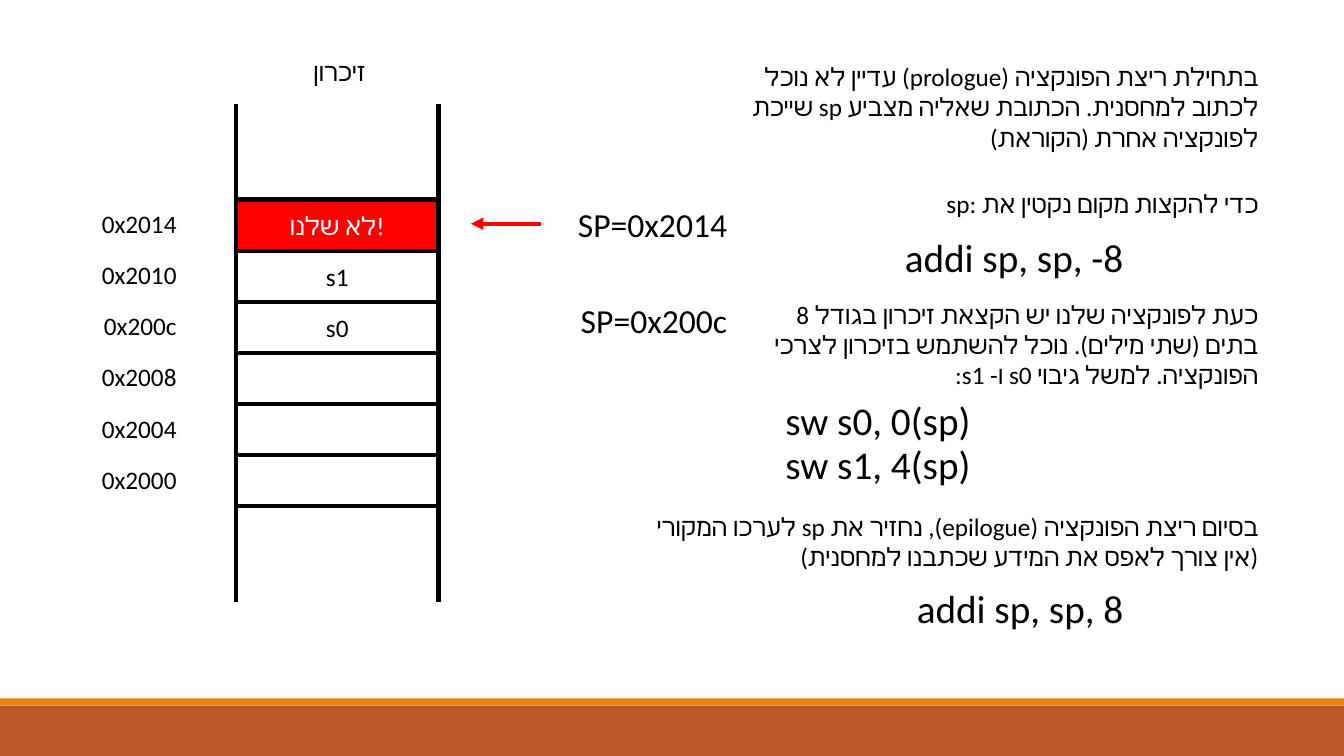
from lxml import etree
from pptx import Presentation, util as u
from pptx.dml.color import RGBColor
from pptx.enum import shapes, text
from pptx.oxml.ns import qn

WIDTH, HEIGHT = 13.33, 7.5
FONT = "Calibri"
BLACK, WHITE, RED = "000000", "FFFFFF", "FF0000"
LEFT, CENTER, RIGHT = text.PP_ALIGN.LEFT, text.PP_ALIGN.CENTER, text.PP_ALIGN.RIGHT


def color(hex_value):
    return RGBColor.from_string(hex_value)


def inches(*lengths):
    return [u.Inches(length) for length in lengths]


def write(shape, words, size, align=RIGHT, rtl=True, hex_value=BLACK):
    """Put one styled paragraph into a shape."""
    shape.text_frame.word_wrap = True
    paragraph = shape.text_frame.paragraphs[0]
    paragraph.text = words
    paragraph.alignment = align
    font = paragraph.font
    font.name, font.size = FONT, u.Pt(size)
    font.color.rgb = color(hex_value)
    properties = paragraph._p.get_or_add_pPr()
    if rtl:
        properties.set("rtl", "1")
    # Hebrew letters take the complex-script font
    latin = properties.find(qn("a:defRPr")).find(qn("a:latin"))
    complex_script = etree.Element(qn("a:cs"))
    complex_script.set("typeface", FONT)
    latin.addnext(complex_script)


def add_label(slide, box, words, size, align=RIGHT, rtl=True):
    write(slide.shapes.add_textbox(*inches(*box)), words, size, align, rtl)


def add_box(slide, box, fill=None, line=None):
    shape = slide.shapes.add_shape(shapes.MSO_SHAPE.RECTANGLE, *inches(*box))
    shape.shadow.inherit = False
    if fill:
        shape.fill.solid()
        shape.fill.fore_color.rgb = color(fill)
    else:
        shape.fill.background()
    if line:
        shape.line.color.rgb = color(line)
        shape.line.width = u.Pt(3)
    else:
        shape.line.fill.background()
    return shape


def add_line(slide, start, end, hex_value=BLACK, arrow=False):
    line = slide.shapes.add_connector(
        shapes.MSO_CONNECTOR.STRAIGHT, *inches(*start, *end))
    line.line.color.rgb = color(hex_value)
    line.line.width = u.Pt(3)
    if arrow:
        head = etree.SubElement(line.line._get_or_add_ln(), qn("a:tailEnd"))
        head.set("type", "triangle")
    etree.SubElement(line._element.spPr, qn("a:effectLst"))


def add_footer(slide, top):
    """Two colour bands along the bottom edge."""
    strip = 0.07
    add_box(slide, (0, top + strip, WIDTH, HEIGHT - top - strip), "BD582C")
    add_box(slide, (0, top, WIDTH, strip), "E48312")


def add_memory(slide, left, top, width, height):
    """Memory column: six addressed words with open ends above and below."""
    cells = [
        ("0x2014", "לא שלנו!", RED, WHITE, False),
        ("0x2010", "s1", WHITE, BLACK, True),
        ("0x200c", "s0", WHITE, BLACK, True),
        ("0x2008", "", None, BLACK, False),
        ("0x2004", "", None, BLACK, False),
        ("0x2000", "", None, BLACK, False),
    ]
    row, open_end = height / len(cells), 0.95
    bottom = top + height
    add_label(slide, (left + 0.67, top - 1.47, 0.85, 0.4), "זיכרון", 18, LEFT, False)

    for index, (address, content, fill, ink, rtl) in enumerate(cells):
        y = top + index * row
        cell = add_box(slide, (left, y, width, row), fill, BLACK)
        if content:
            cell.text_frame.vertical_anchor = text.MSO_ANCHOR.MIDDLE
            write(cell, content, 18, CENTER, rtl, ink)
        add_label(slide, (left - 1.65, y + 0.04, 1.16, 0.4), address, 18)

    for x in (left, left + width):
        add_line(slide, (x, top), (x, top - open_end))
        add_line(slide, (x, bottom + open_end), (x, bottom))


def add_stack_pointer(slide, left, top, width, height):
    """Arrow to the first word, and the pointer before and after."""
    middle = top + height / 2
    add_line(slide, (left + 0.7, middle), (left, middle), RED, arrow=True)
    for offset, value in ((0, "SP=0x2014"), (0.96, "SP=0x200c")):
        add_label(slide, (left + width - 1.89, top + offset, 1.89, height), value, 24)


def add_explanation(slide, right, top):
    """Hebrew steps, flush right, each followed by its code."""
    steps = [  # offset from top, width, height, words
        (0, 5.44, 1.01, "בתחילת ריצת הפונקציה (prologue) עדיין לא נוכל לכתוב למחסנית. "
                        "הכתובת שאליה מצביע sp שייכת לפונקציה אחרת (הקוראת)"),
        (1.26, 5.44, 0.4, "כדי להקצות מקום נקטין את :sp"),
        (2.36, 5.02, 1.01, "כעת לפונקציה שלנו יש הקצאת זיכרון בגודל 8 בתים (שתי מילים). "
                           "נוכל להשתמש בזיכרון לצרכי הפונקציה. למשל גיבוי s0 ו- s1:"),
        (4.46, 6.34, 0.71, "בסיום ריצת הפונקציה (epilogue), נחזיר את sp לערכו המקורי "
                           "(אין צורך לאפס את המידע שכתבנו למחסנית)"),
    ]
    for offset, width, height, words in steps:
        add_label(slide, (right - width, top + offset, width, height), words, 18)

    code = [  # offset from top, distance from the right edge, words, layout
        (1.71, 4.1, "addi sp, sp, -8", RIGHT, True),
        (3.32, 4.89, "sw s0, 0(sp)", LEFT, False),
        (3.76, 4.89, "sw s1, 4(sp)", LEFT, False),
        (5.19, 4.1, "addi sp, sp, 8", RIGHT, True),
    ]
    for offset, inset, words, align, rtl in code:
        add_label(slide, (right - inset, top + offset, 2.76, 0.57), words, 28, align, rtl)


def main():
    presentation = Presentation()
    presentation.slide_width, presentation.slide_height = inches(WIDTH, HEIGHT)
    slide = presentation.slides.add_slide(presentation.slide_layouts[6])
    add_footer(slide, 6.93)
    add_memory(slide, 2.34, 1.98, 2.01, 3.04)
    add_stack_pointer(slide, 4.67, 1.97, 2.64, 0.5)
    add_explanation(slide, 12.58, 0.56)
    presentation.save("out.pptx")


if __name__ == "__main__":
    main()
